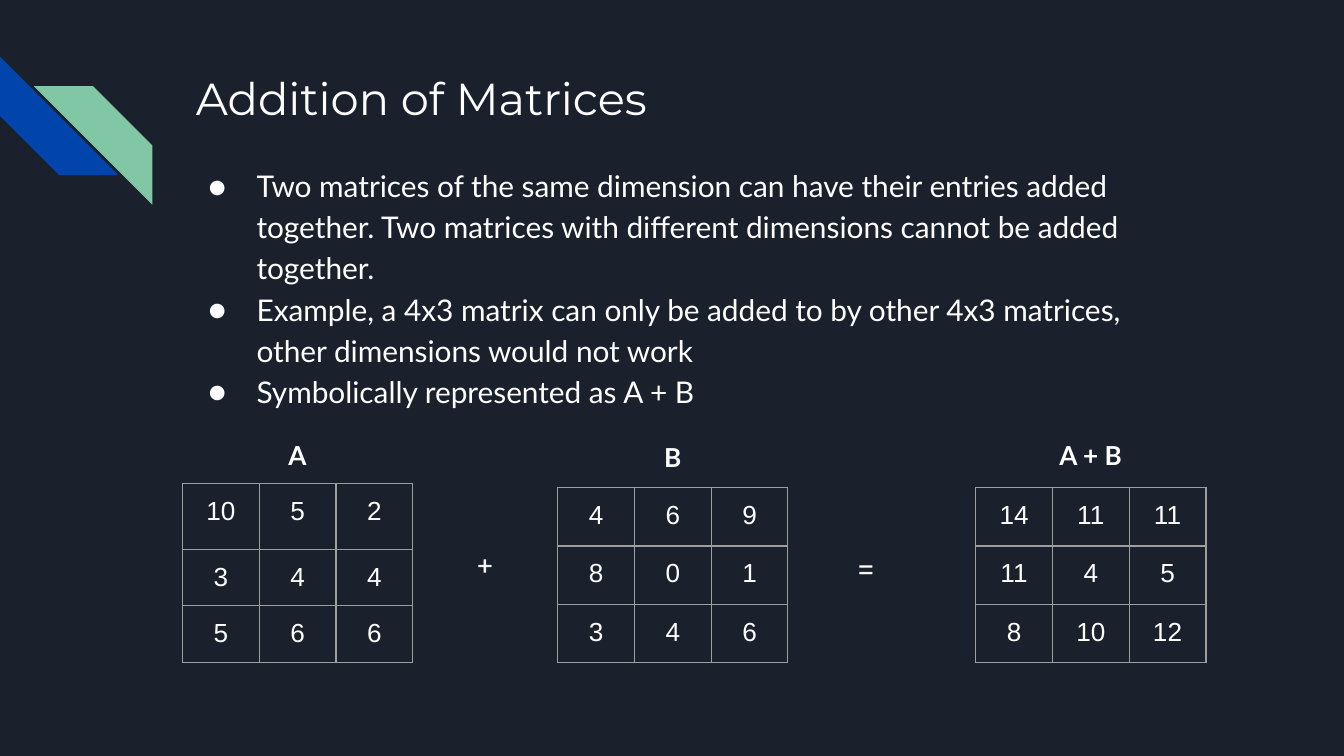
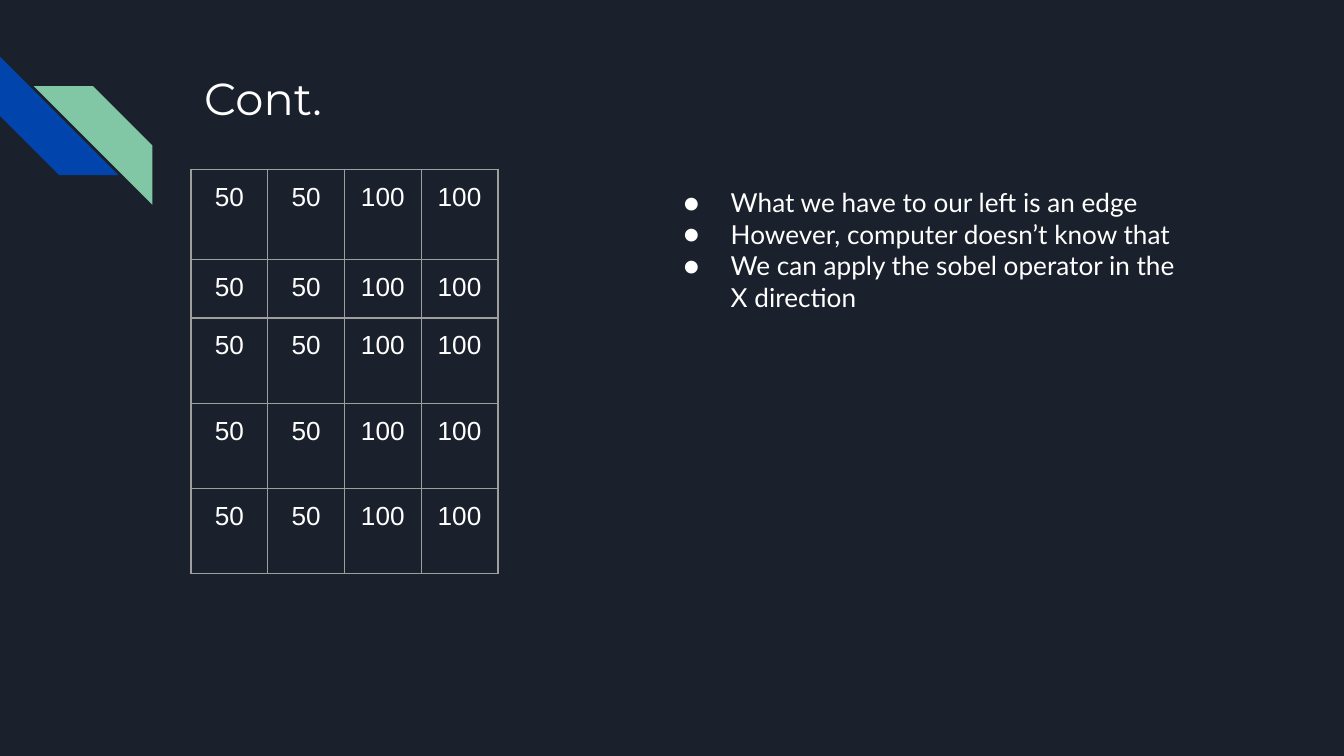
from lxml.etree import SubElement
from pptx import Presentation
from pptx.dml.color import RGBColor
from pptx.enum.shapes import MSO_SHAPE
from pptx.enum.text import MSO_ANCHOR, MSO_AUTO_SIZE, PP_ALIGN
from pptx.oxml import parse_xml
from pptx.oxml.ns import nsdecls, qn
from pptx.util import Cm, Pt

NAVY = RGBColor(0x1B, 0x21, 0x2C)
BLUE = RGBColor(0x01, 0x45, 0xAC)
GREEN = RGBColor(0x82, 0xC7, 0xA5)
WHITE = RGBColor(0xFF, 0xFF, 0xFF)
GREY = RGBColor(0x9E, 0x9E, 0x9E)
PALE = RGBColor(0xD9, 0xD9, 0xD9)
PAD = Cm(0.25)
COL = 1.45


def line(tag, color):
    """Return a thin solid outline element."""
    return parse_xml(
        f'<a:{tag} {nsdecls("a")} w="9525"><a:solidFill>'
        f'<a:srgbClr val="{color}"/></a:solidFill></a:{tag}>')


def write(para, text, size, face, bold=False):
    """Add one white run to a paragraph."""
    run = para.add_run()
    run.text = text
    font = run.font
    font.size, font.name, font.bold = Pt(size), face, bold
    font.color.rgb = WHITE
    return run


def place(shape, box):
    """Move a shape to a box given in centimetres."""
    shape.left, shape.top, shape.width, shape.height = map(Cm, box)


def frame(shape, pad=PAD):
    """Set the shared text margins and top anchor."""
    body = shape.text_frame
    body.word_wrap = True
    body.auto_size = MSO_AUTO_SIZE.NONE
    body.vertical_anchor = MSO_ANCHOR.TOP
    body.margin_left = body.margin_right = PAD
    body.margin_top = body.margin_bottom = pad
    return body


def theme(deck, slide):
    """Give the master its background and corner stripes."""
    master = deck.slide_master
    master.background.fill.solid()
    master.background.fill.fore_color.rgb = NAVY
    for left, top, color in ((0, 1.07, BLUE), (0.64, 1.63, GREEN)):
        stripe = slide.shapes.add_shape(
            MSO_SHAPE.DIAGONAL_STRIPE, Cm(left), Cm(top), Cm(2.24), Cm(2.24))
        stripe.shadow.inherit = False
        stripe.fill.solid()
        stripe.fill.fore_color.rgb = color
        stripe.line.fill.background()
        if color == BLUE:
            stripe.rotation = 270
        else:
            stripe.element.spPr.find(qn("a:xfrm")).set("flipH", "1")
        master.shapes.element.append(stripe.element)


def title(slide, text, left):
    """Fill the title placeholder."""
    shape = slide.shapes.title
    place(shape, (left, 1.09, 19.56, 2.54))
    para = frame(shape).paragraphs[0]
    para.alignment = PP_ALIGN.LEFT
    write(para, text, 24, "Montserrat")


def bullets(slide, box, items, size, space, hang):
    """Fill the body placeholder with a bulleted list."""
    shape = slide.placeholders[1]
    place(shape, box)
    body = frame(shape)
    for i, item in enumerate(items):
        para = body.add_paragraph() if i else body.paragraphs[0]
        para.alignment = PP_ALIGN.LEFT
        para.line_spacing = space
        para.space_before = para.space_after = Pt(0)
        props = para._p.get_or_add_pPr()
        props.set("marL", str(Cm(1.27)))
        props.set("indent", str(-Cm(hang)))
        tint = SubElement(props, qn("a:buClr"))
        SubElement(tint, qn("a:srgbClr")).set("val", str(WHITE))
        SubElement(props, qn("a:buFont")).set("typeface", "Lato")
        SubElement(props, qn("a:buChar")).set("char", "●")
        write(para, item, size, "Lato")


def grid(slide, left, top, rows, highs):
    """Draw a matrix as a table with thin borders."""
    count = len(rows[0])
    table = slide.shapes.add_table(
        len(rows), count, Cm(left), Cm(top),
        Cm(COL * count), Cm(sum(highs))).table
    table.first_row = table.horz_banding = False
    for col in table.columns:
        col.width = Cm(COL)
    for y, (row, high) in enumerate(zip(rows, highs)):
        table.rows[y].height = Cm(high)
        for x, value in enumerate(row):
            cell = table.cell(y, x)
            cell.fill.background()
            cell.margin_left = cell.margin_right = PAD
            cell.margin_top = cell.margin_bottom = PAD
            props = cell._tc.get_or_add_tcPr()
            for i, tag in enumerate(("lnL", "lnR", "lnT", "lnB")):
                props.insert(i, line(tag, GREY))
            para = cell.text_frame.paragraphs[0]
            para.alignment = PP_ALIGN.CENTER
            write(para, str(value), 14, "Arial")


def label(slide, box, text, face, bold=False, pad=PAD):
    """Add a centred text box and return its run."""
    shape = slide.shapes.add_textbox(*map(Cm, box))
    para = frame(shape, pad).paragraphs[0]
    para.alignment = PP_ALIGN.CENTER
    return write(para, text, 14, face, bold)


def sign(slide, box, text):
    """Add an outlined operator between matrices."""
    run = label(slide, box, text, "Arial", pad=Cm(0.13))
    run.font._element.insert(0, line("ln", PALE))


def matrix(slide, left, top, name, head, rows, highs):
    """Draw a matrix with its name above it."""
    grid(slide, left, top, rows, highs)
    label(slide, (left + 1.02, head, 2.31, 1.12), name, "Lato", True)


def sums(slide):
    """Build the slide on adding matrices."""
    title(slide, "Addition of Matrices", 3.45)
    bullets(slide, (3.33, 2.82, 19.56, 8.08), (
        "Two matrices of the same dimension can have their entries added "
        "together. Two matrices with different dimensions cannot be added "
        "together.",
        "Example, a 4x3 matrix can only be added to by other 4x3 matrices, "
        "other dimensions would not work",
        "Symbolically represented as A + B"), 16, 1.15, 0.91)
    one = ((10, 5, 2), (3, 4, 4), (5, 6, 6))
    two = ((4, 6, 9), (8, 0, 1), (3, 4, 6))
    both = [[a + b for a, b in zip(*pair)] for pair in zip(one, two)]
    both[1][0:3] = 11, 4, 5
    even = (1.1,) * 3
    matrix(slide, 3.45, 9.14, "A", 8.05, one, (1.24, 1.07, 1.07))
    matrix(slide, 10.54, 9.22, "B", 8.1, two, even)
    matrix(slide, 18.44, 9.22, "A + B", 8.05, both, even)
    sign(slide, (8.43, 10.24, 1.47, 1.27), "+")
    sign(slide, (15.49, 10.31, 1.75, 1.12), "=")


def edge(slide):
    """Build the slide on the edge in a pixel grid."""
    title(slide, "Cont.", 3.61)
    grid(slide, 3.61, 3.2, ((50, 50, 100, 100),) * 5,
         (1.71, 1.1, 1.61, 1.61, 1.61))
    bullets(slide, (12.29, 3.28, 10.29, 2.9), (
        "What we have to our left is an edge",
        "However, computer doesn’t know that",
        "We can apply the sobel operator in the X direction"), 14, 1, 0.89)


def main():
    """Build and save the deck."""
    deck = Presentation()
    deck.slide_width, deck.slide_height = Cm(25.4), Cm(14.29)
    for i, build in enumerate((sums, edge)):
        slide = deck.slides.add_slide(deck.slide_layouts[1])
        if not i:
            theme(deck, slide)
        build(slide)
    deck.save("out.pptx")


if __name__ == "__main__":
    main()
